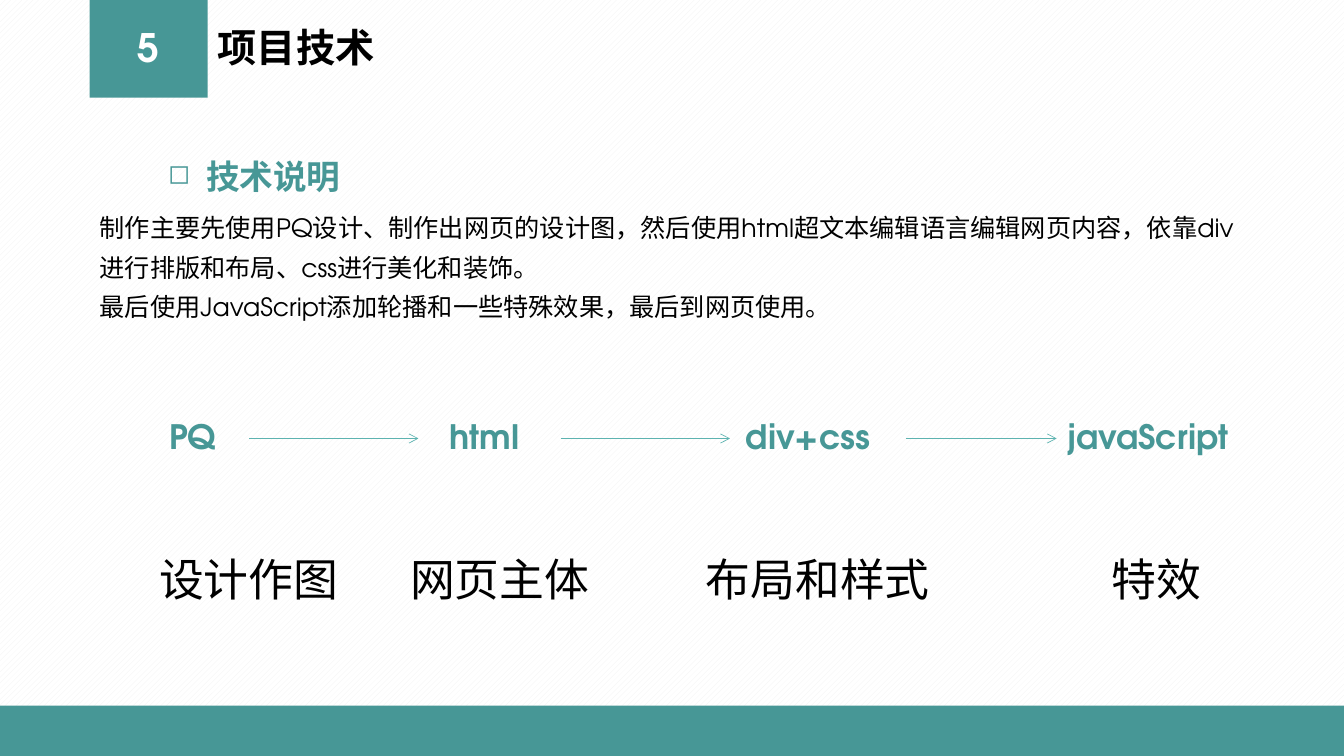
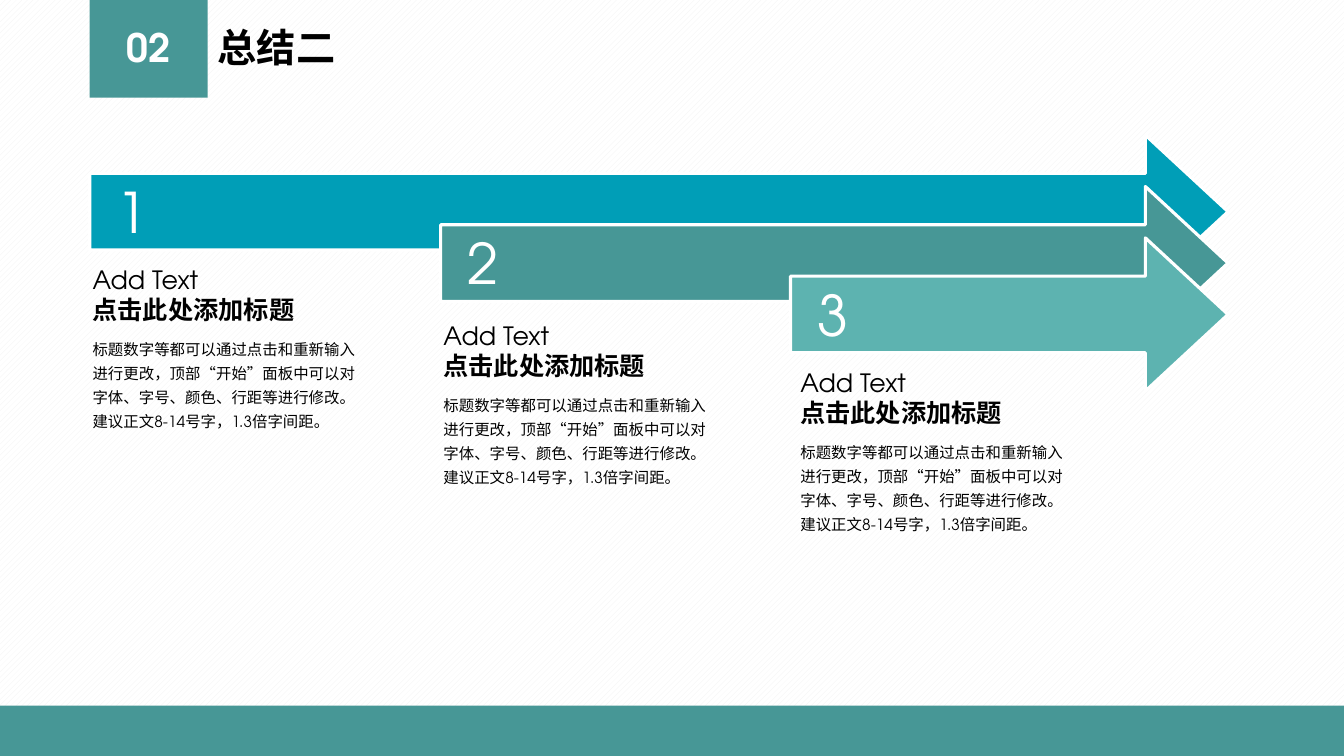
from lxml import etree
from pptx import Presentation
from pptx.dml.color import RGBColor
from pptx.enum.dml import MSO_PATTERN
from pptx.enum.shapes import MSO_CONNECTOR, MSO_SHAPE
from pptx.enum.text import MSO_ANCHOR, MSO_AUTO_SIZE, PP_ALIGN
from pptx.oxml.ns import qn
from pptx.util import Emu, Pt

PX = 9144
W, H = 1333, 750
LATIN, CJK = "TeX Gyre Adventor", "Noto Sans CJK SC"
TEAL, MINT, BLUE = "479796", "5DB3B0", "009EB7"
WHITE, BLACK, STRIPE = "FFFFFF", "000000", "F2F2F2"

BANDS = [(89, 0, 117, 97), (0, 700, W, 50)]
NUMBER_BOX = (89, 26, 117, 47)
TITLE_BOX = (206, 26, 519, 47)

TECH_NUMBER, TECH_TITLE = "5", "项目技术"
TECH_HEADING = "技术说明"
TECH_BODY = [
    "制作主要先使用PQ设计、制作出网页的设计图，然后使用html超文本编辑语言编辑网页内容，依靠div进行排版和布局、css进行美化和装饰。",
    "最后使用JavaScript添加轮播和一些特殊效果，最后到网页使用。",
]
TECH_STEPS = [
    ("PQ", 150, 82, "设计作图", 148, 210),
    ("html", 400, 161, "网页主体", 397, 256),
    ("div+css", 703, 197, "布局和样式", 690, 251),
    ("javaScript", 1038, 201, "特效", 1093, 120),
]
STEP_Y, CAPTION_Y, LINK_Y = 408, 526, 435
LINKS = [(247, 415), (556, 724), (899, 1048)]

SUM_NUMBER, SUM_TITLE = "02", "总结二"
SUM_HEADING = ["Add Text", "点击此处添加标题"]
SUM_BODY = "标题数字等都可以通过点击和重新输入进行更改，顶部“开始”面板中可以对字体、字号、颜色、行距等进行修改。建议正文8-14号字，1.3倍字间距。"
SUM_ARROWS = [
    (89, BLUE, 82, 257),
    (437, TEAL, 430, 313),
    (784, MINT, 784, 359),
]
ARROW_TOP, ARROW_STEP, ARROW_H, SHAFT_INSET = 134, 51, 152, 38
NECK_X, TIP_X = 1136, 1218


def rgb(value):
    return RGBColor.from_string(value)


def px(*values):
    return [Emu(v * PX) for v in values]


def paint(shape, fill, line=None):
    shape.shadow.inherit = False
    shape.fill.solid()
    shape.fill.fore_color.rgb = rgb(fill)
    if line:
        shape.line.color.rgb = rgb(line)
        shape.line.width = Pt(2.25)
    else:
        shape.line.fill.background()


def write(shape, lines, size, color=BLACK, bold=False, align=PP_ALIGN.LEFT,
          spacing=1.0, font=LATIN, anchor=MSO_ANCHOR.TOP):
    tf = shape.text_frame
    tf.text = "\n".join(lines)
    tf.word_wrap = True
    tf.auto_size = MSO_AUTO_SIZE.NONE
    tf.vertical_anchor = anchor
    for p in tf.paragraphs:
        p.alignment = align
        p.line_spacing = spacing
        for r in p.runs:
            r.font.size = Pt(size)
            r.font.bold = bold
            r.font.color.rgb = rgb(color)
            r.font.name = font
            etree.SubElement(r.font._element, qn("a:ea"), typeface=CJK)
    return tf


def add_text(s, box, lines, size, **style):
    return write(s.shapes.add_textbox(*px(*box)), lines, size, **style)


def style_layout(layout, s):
    fill = layout.background.fill
    fill.patterned()
    fill.pattern = MSO_PATTERN.WIDE_UPWARD_DIAGONAL
    fill.fore_color.rgb = rgb(STRIPE)
    fill.back_color.rgb = rgb(WHITE)
    for i, box in enumerate(BANDS):
        band = s.shapes.add_shape(MSO_SHAPE.RECTANGLE, *px(*box))
        paint(band, TEAL)
        band._element.nvSpPr.cNvPr.set("id", str(101 + i))
        layout.shapes._spTree.insert(2 + i, band._element)


def add_header(s, number, title):
    t = s.shapes.title
    t.left, t.top, t.width, t.height = px(*TITLE_BOX)
    head = dict(bold=True, spacing=0.9, anchor=MSO_ANCHOR.MIDDLE)
    write(t, [title], 28, **head)
    add_text(s, NUMBER_BOX, [number], 28, color=WHITE, align=PP_ALIGN.CENTER, **head)


def add_bullet(p, char):
    pPr = p._p.get_or_add_pPr()
    pPr.set("marL", "342900")
    pPr.set("indent", "-342900")
    etree.SubElement(pPr, qn("a:buSzPct"), val="80000")
    etree.SubElement(pPr, qn("a:buChar"), char=char)


def add_link(s, x1, x2, y):
    c = s.shapes.add_connector(MSO_CONNECTOR.STRAIGHT, *px(x1, y, x2, y))
    c.line.color.rgb = rgb(MINT)
    c.line.width = Pt(0.5)
    etree.SubElement(c.line._get_or_add_ln(), qn("a:tailEnd"), type="arrow")
    etree.SubElement(c._element.spPr, qn("a:effectLst"))


def add_arrow(s, x, y, color):
    top, bottom = y + SHAFT_INSET, y + ARROW_H - SHAFT_INSET
    fb = s.shapes.build_freeform(x, top, scale=PX)
    fb.add_line_segments([
        (NECK_X, top), (NECK_X, y), (TIP_X, y + ARROW_H // 2),
        (NECK_X, y + ARROW_H), (NECK_X, bottom), (x, bottom),
    ])
    paint(fb.convert_to_shape(), color, WHITE)


def build_tech(s):
    add_header(s, TECH_NUMBER, TECH_TITLE)
    tf = add_text(s, (157, 150, 211, 53), [TECH_HEADING], 24, color=TEAL, bold=True)
    add_bullet(tf.paragraphs[0], "◻")
    add_text(s, (89, 197, 1166, 127), TECH_BODY, 18, spacing=1.3)
    for name, x, w, caption, cx, cw in TECH_STEPS:
        add_text(s, (x, STEP_Y, w, 50), [name], 24, color=TEAL, bold=True,
                 align=PP_ALIGN.CENTER)
        add_text(s, (cx, CAPTION_Y, cw, 79), [caption], 32, spacing=1.3, font=CJK)
    for x1, x2 in LINKS:
        add_link(s, x1, x2, LINK_Y)


def build_summary(s):
    add_header(s, SUM_NUMBER, SUM_TITLE)
    for i, (x, color, text_x, text_y) in enumerate(SUM_ARROWS):
        y = ARROW_TOP + i * ARROW_STEP
        add_arrow(s, x, y, color)
        add_text(s, (x + 17, y + 37, 51, 77), [str(i + 1)], 40, color=WHITE)
        tf = add_text(s, (text_x, text_y, 240, 71), SUM_HEADING, 18)
        tf.paragraphs[1].runs[0].font.bold = True
        add_text(s, (text_x, text_y + 70, 286, 106), [SUM_BODY], 11, spacing=1.3)


def main():
    prs = Presentation()
    prs.slide_width, prs.slide_height = px(W, H)
    layout = prs.slide_layouts[5]
    tech, summary = [prs.slides.add_slide(layout) for _ in range(2)]
    style_layout(layout, tech)
    build_tech(tech)
    build_summary(summary)
    prs.save("out.pptx")


if __name__ == "__main__":
    main()
